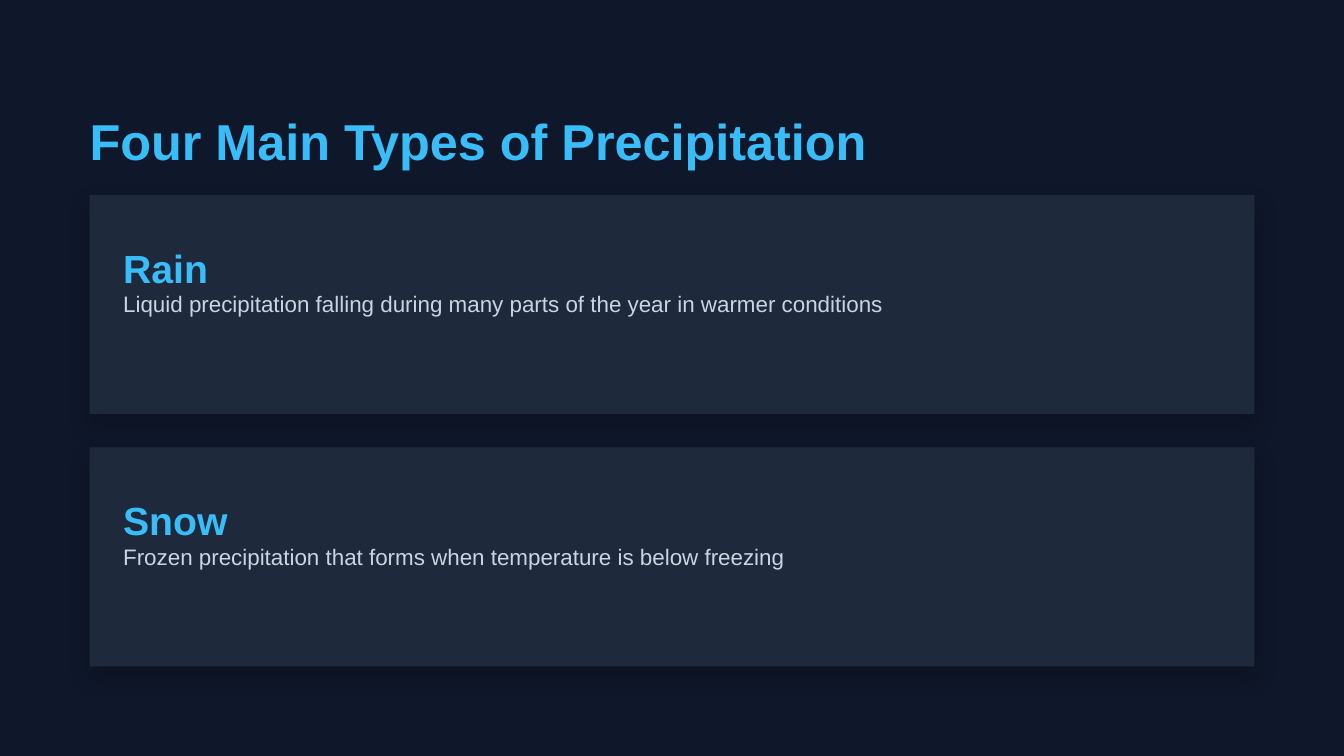
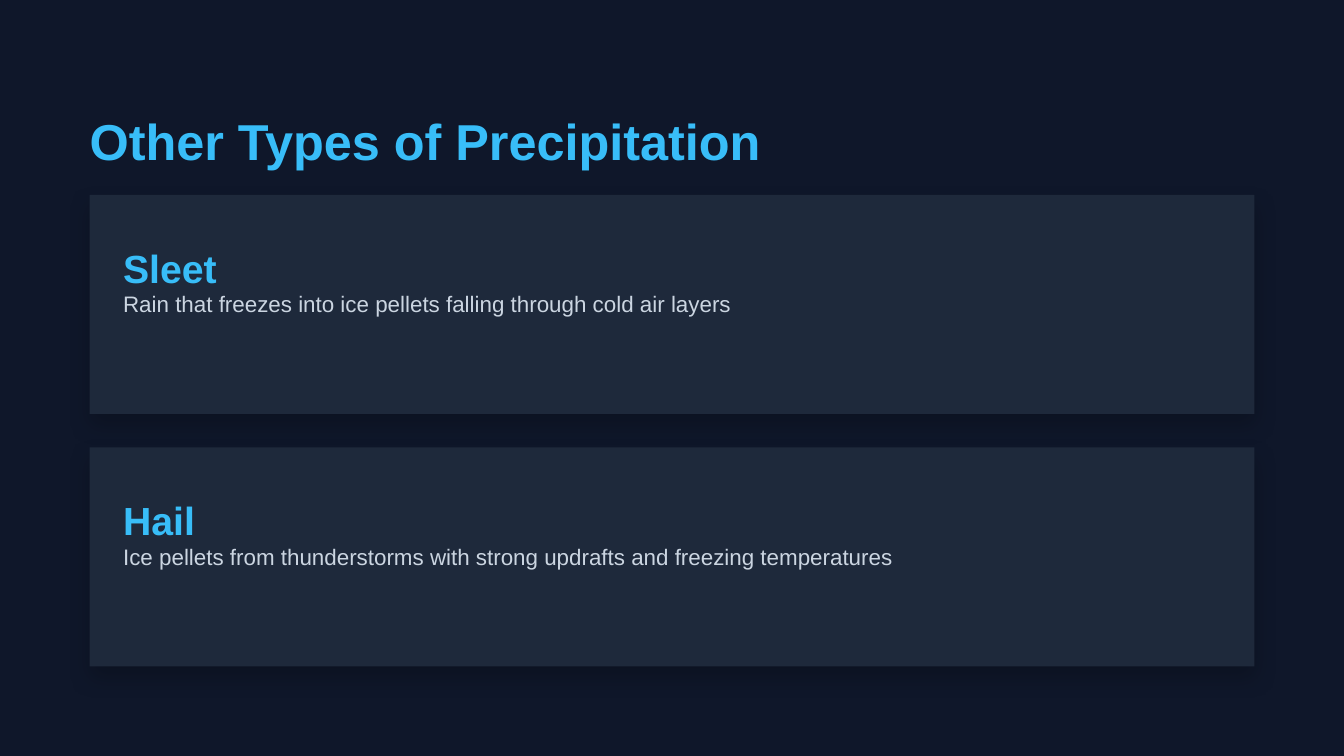
from lxml.etree import SubElement
from pptx import Presentation
from pptx.dml.color import RGBColor
from pptx.enum.shapes import MSO_SHAPE
from pptx.enum.text import MSO_ANCHOR, MSO_AUTO_SIZE, PP_ALIGN
from pptx.oxml.ns import qn
from pptx.util import Inches, Pt

BACKGROUND = "0F172A"
CARD = "1E293B"
ACCENT = "38BDF8"
BODY = "CBD5E1"
FONT = "Arial"

SLIDE_W = 10
SLIDE_H = SLIDE_W * 9 / 16
MARGIN = 2 / 3
CARD_W = SLIDE_W - 2 * MARGIN
CARD_TOP, CARD_H, CARD_GAP = 1.45, 1.63, 0.25
PADDING = 0.25
TEXT_W = 8.33

SLIDES = [
    ("Four Main Types of Precipitation", [
        ("Rain", "Liquid precipitation falling during many parts of the year in warmer conditions"),
        ("Snow", "Frozen precipitation that forms when temperature is below freezing"),
    ]),
    ("Other Types of Precipitation", [
        ("Sleet", "Rain that freezes into ice pellets falling through cold air layers"),
        ("Hail", "Ice pellets from thunderstorms with strong updrafts and freezing temperatures"),
    ]),
]


def write(sp, text, size, leading, color, bold=False):
    """Fill a shape with one line of text, flush with its top left corner."""
    tf = sp.text_frame
    tf.margin_left = tf.margin_top = tf.margin_right = tf.margin_bottom = 0
    tf.word_wrap = True
    tf.auto_size = MSO_AUTO_SIZE.NONE
    tf.vertical_anchor = MSO_ANCHOR.TOP
    tf.text = text
    p = tf.paragraphs[0]
    p.alignment = PP_ALIGN.LEFT
    p.line_spacing = Pt(leading)
    font = p.runs[0].font
    font.name, font.size, font.bold = FONT, Pt(size), bold
    font.color.rgb = RGBColor.from_string(color)


def add_soft_shadow(sp):
    sp.shadow.inherit = False
    effects = sp._element.spPr.find(qn("a:effectLst"))
    shadow = SubElement(effects, qn("a:outerShdw"), blurRad=str(Pt(12)), dist=str(Pt(6)),
                        dir="5400000", algn="ctr", rotWithShape="0")
    color = SubElement(shadow, qn("a:srgbClr"), val="000000")
    SubElement(color, qn("a:alpha"), val="20000")


prs = Presentation()
prs.slide_width, prs.slide_height = Inches(SLIDE_W), Inches(SLIDE_H)
fill = prs.slide_master.background.fill
fill.solid()
fill.fore_color.rgb = RGBColor.from_string(BACKGROUND)

for title, cards in SLIDES:
    s = prs.slides.add_slide(prs.slide_layouts[5])
    sp = s.shapes.title
    sp.left, sp.top, sp.width, sp.height = map(Inches, (MARGIN, MARGIN, 8.84, 0.45))
    write(sp, title, 27, 43.2, ACCENT, bold=True)

    for i, (name, description) in enumerate(cards):
        top = CARD_TOP + i * (CARD_H + CARD_GAP)
        sp = s.shapes.add_shape(MSO_SHAPE.RECTANGLE, Inches(MARGIN), Inches(top),
                                Inches(CARD_W), Inches(CARD_H))
        sp.fill.solid()
        sp.fill.fore_color.rgb = RGBColor.from_string(CARD)
        sp.line.fill.background()
        add_soft_shadow(sp)

        left, top = MARGIN + PADDING, top + PADDING
        sp = s.shapes.add_textbox(Inches(left), Inches(top), Inches(TEXT_W), Inches(0.35))
        write(sp, name, 21, 33.6, ACCENT, bold=True)
        sp = s.shapes.add_textbox(Inches(left), Inches(top + 0.35), Inches(TEXT_W), Inches(0.23))
        write(sp, description, 12, 22.4, BODY)

prs.save("out.pptx")
